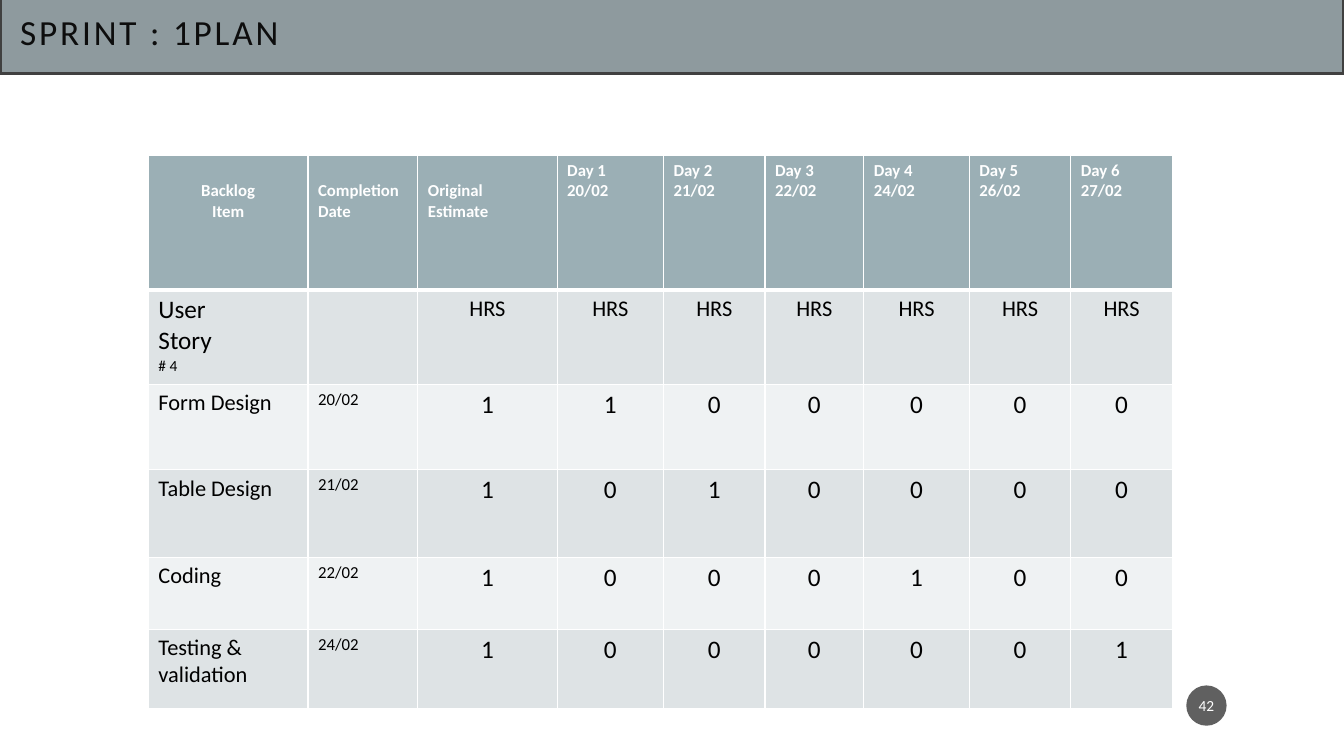
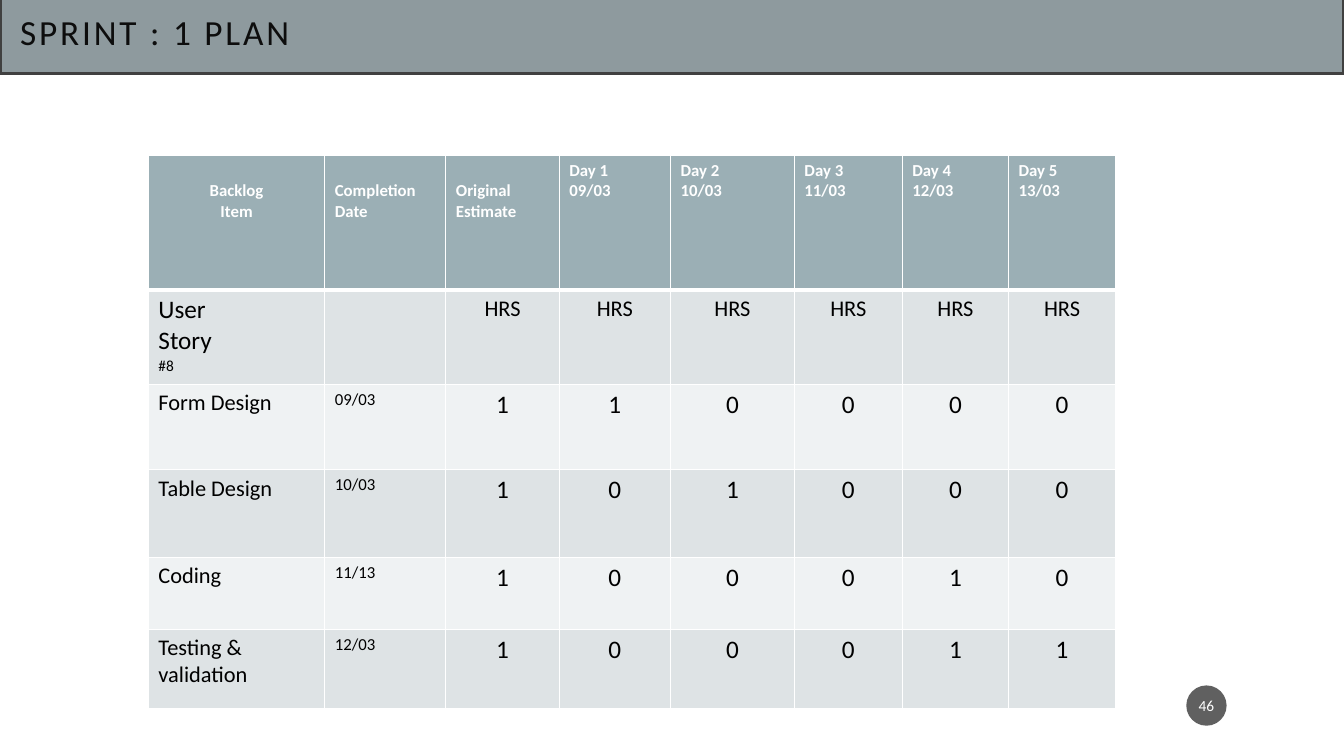
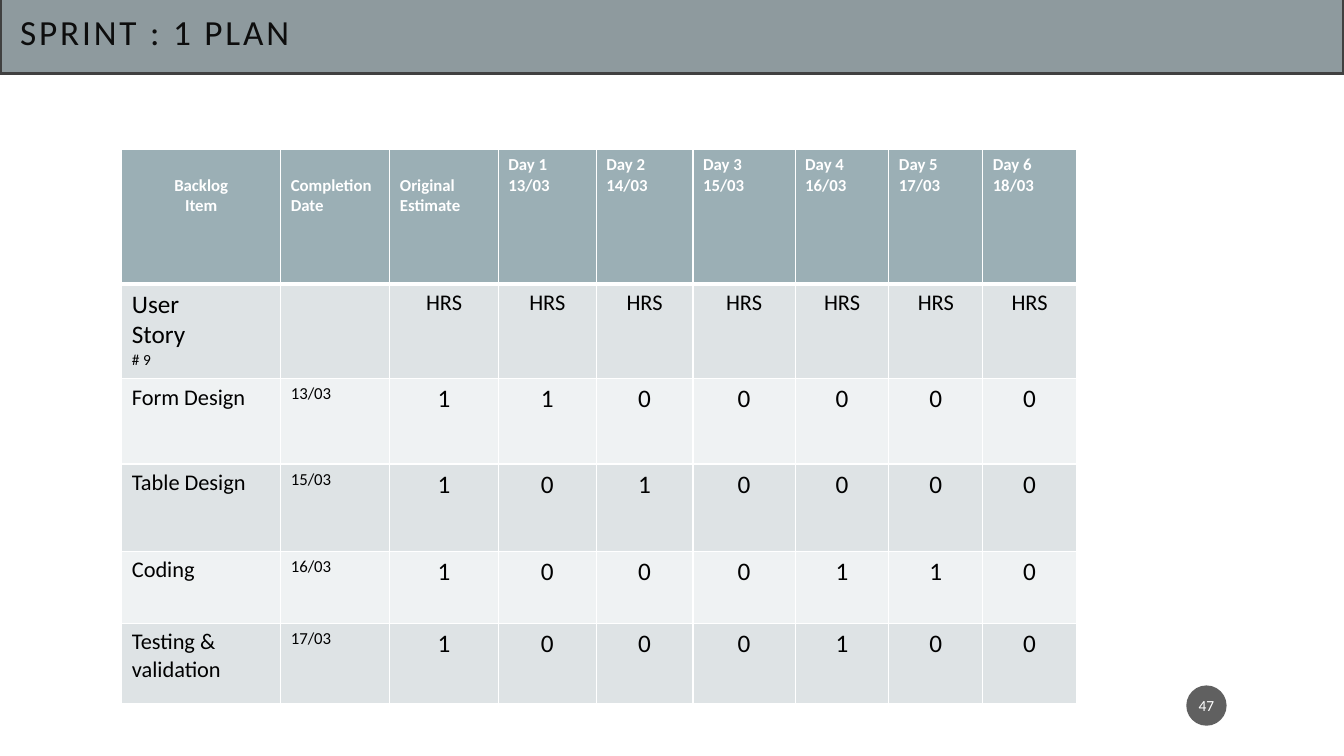
import dataclasses

import lxml.etree
import pptx
import pptx.dml.color
import pptx.enum.shapes
import pptx.enum.text
import pptx.oxml.ns
import pptx.util

Pt = pptx.util.Pt
qn = pptx.oxml.ns.qn
ALIGN = pptx.enum.text.PP_ALIGN
MIDDLE = pptx.enum.text.MSO_ANCHOR.MIDDLE


@dataclasses.dataclass(frozen=True)
class Theme:
    font: str = "Calibri"
    band: str = "8E9A9E"
    band_line: str = "404040"
    title: str = "0D0D0D"
    badge: str = "1D1D1D"
    header: str = "9BAFB5"
    stripes: tuple = ("DEE3E5", "EFF2F3")
    white: str = "FFFFFF"
    black: str = "000000"
    title_size: float = 25.2
    large: float = 18
    medium: float = 16
    small: float = 12
    tiny: float = 11


T = Theme()
ROW_HEIGHTS = (96, 67.5, 61, 62.5, 51.5, 57)
TASKS = ("Form Design", "Table Design", "Coding", "Testing & validation")
PLANS = (
    dict(
        title="SPRINT : 1PLAN", page="42", story="# 4", left=106, top=111,
        widths=(114, 78.5, 99.5, 76, 72.5, 70.5, 75.5, 72.5, 72.5),
        days=("20/02", "21/02", "22/02", "24/02", "26/02", "27/02"),
        done=("20/02", "21/02", "22/02", "24/02"),
        hours=("1100000", "1010000", "1000100", "1000001"),
    ),
    dict(
        title="SPRINT : 1 PLAN", page="46", story="#8", left=106, top=111,
        widths=(126, 86.5, 81, 79.5, 88.5, 77, 76, 76.5),
        days=("09/03", "10/03", "11/03", "12/03", "13/03"),
        done=("09/03", "10/03", "11/13", "12/03"),
        hours=("110000", "101000", "100010", "100011"),
    ),
    dict(
        title="SPRINT : 1 PLAN", page="47", story="# 9", left=87, top=107,
        widths=(113.5, 78, 77.5, 70, 69, 73, 67, 67, 67),
        days=("13/03", "14/03", "15/03", "16/03", "17/03", "18/03"),
        done=("13/03", "15/03", "16/03", "17/03"),
        hours=("1100000", "1010000", "1000110", "1000100"),
    ),
)


def rgb(color):
    return pptx.dml.color.RGBColor.from_string(color)


def write(tf, text, size, color=T.black, bold=False, align=ALIGN.LEFT,
          line_spacing=None, tracking=None, last_size=None):
    lines = text.split("\n")
    for i, line in enumerate(lines):
        p = tf.add_paragraph() if i else tf.paragraphs[0]
        p.alignment = align
        p.line_spacing = line_spacing
        r = p.add_run()
        r.text = line
        is_last = i == len(lines) - 1
        r.font.size = Pt(last_size if last_size and is_last else size)
        r.font.name = T.font
        r.font.bold = bold
        r.font.color.rgb = rgb(color)
        if tracking:
            r._r.get_or_add_rPr().set("spc", str(tracking * 100))


def set_frame(tf, side, vertical):
    tf.word_wrap = True
    tf.auto_size = pptx.enum.text.MSO_AUTO_SIZE.NONE
    tf.vertical_anchor = MIDDLE
    tf.margin_left = tf.margin_right = Pt(side)
    tf.margin_top = tf.margin_bottom = Pt(vertical)


def add_title(s, text):
    sp = s.shapes.title
    sp.left, sp.top, sp.width, sp.height = Pt(0), Pt(-3.6), Pt(960), Pt(56.2)
    sp.fill.solid()
    sp.fill.fore_color.rgb = rgb(T.band)
    sp.line.color.rgb = rgb(T.band_line)
    sp.line.width = Pt(2.5)
    set_frame(sp.text_frame, 14.4, 14.4)
    write(sp.text_frame, text, T.title_size, color=T.title,
          line_spacing=0.9, tracking=2)


def add_badge(s, number):
    sp = s.shapes.add_shape(pptx.enum.shapes.MSO_SHAPE.OVAL,
                            Pt(847.4), Pt(489.6), Pt(28.8), Pt(28.8))
    sp.shadow.inherit = False
    sp.fill.solid()
    sp.fill.fore_color.rgb = rgb(T.badge)
    color = sp._element.spPr.find(qn("a:solidFill"))[0]
    lxml.etree.SubElement(color, qn("a:alpha")).set("val", "70000")
    sp.line.fill.background()
    set_frame(sp.text_frame, 1.4, 3.6)
    write(sp.text_frame, number, T.tiny, color=T.white, align=ALIGN.CENTER)


def style_cell(cell, fill, top=1, bottom=1):
    tcPr = cell._tc.get_or_add_tcPr()
    for side, width in (("L", 1), ("R", 1), ("T", top), ("B", bottom)):
        ln = lxml.etree.SubElement(tcPr, qn(f"a:ln{side}"))
        ln.set("w", str(Pt(width)))
        solid = lxml.etree.SubElement(ln, qn("a:solidFill"))
        lxml.etree.SubElement(solid, qn("a:srgbClr")).set("val", T.white)
    cell.fill.solid()
    cell.fill.fore_color.rgb = rgb(fill)


def fill_header(table, days):
    labels = ["Backlog\nItem", "Completion Date", "Original\nEstimate"]
    labels += [f"Day {n}\n{day}" for n, day in enumerate(days, 1)]
    for col, label in enumerate(labels):
        cell = table.cell(0, col)
        style_cell(cell, T.header, bottom=3)
        if col < 3:
            cell.margin_top = Pt(18.2)
        write(cell.text_frame, label, T.small, color=T.white, bold=True,
              align=ALIGN.LEFT if col else ALIGN.CENTER)


def fill_row(table, row, name, date, values, name_size, value_size,
             last_size=None):
    for col, text in enumerate([name, date, *values]):
        cell = table.cell(row, col)
        style_cell(cell, T.stripes[(row - 1) % 2], top=3 if row == 1 else 1)
        if not text:
            continue
        if col == 0:
            write(cell.text_frame, text, name_size, last_size=last_size)
        elif col == 1:
            write(cell.text_frame, text, T.small)
        else:
            write(cell.text_frame, text, value_size, align=ALIGN.CENTER)


def add_plan_table(s, plan):
    widths = plan["widths"]
    table = s.shapes.add_table(
        len(ROW_HEIGHTS), len(widths), Pt(plan["left"]), Pt(plan["top"]),
        Pt(sum(widths)), Pt(sum(ROW_HEIGHTS))).table
    table.horz_banding = False
    for column, width in zip(table.columns, widths):
        column.width = Pt(width)
    for row, height in zip(table.rows, ROW_HEIGHTS):
        row.height = Pt(height)
    fill_header(table, plan["days"])
    fill_row(table, 1, f"User\nStory\n{plan['story']}", "",
             ["HRS"] * (len(widths) - 2), T.large, T.medium, last_size=T.tiny)
    tasks = zip(TASKS, plan["done"], plan["hours"])
    for row, (name, date, hours) in enumerate(tasks, 2):
        fill_row(table, row, name, date, hours, T.medium, T.large)


def main():
    prs = pptx.Presentation()
    prs.slide_width, prs.slide_height = Pt(960), Pt(540)
    title_only = prs.slide_layouts.get_by_name("Title Only")
    for plan in PLANS:
        s = prs.slides.add_slide(title_only)
        add_title(s, plan["title"])
        add_badge(s, plan["page"])
        add_plan_table(s, plan)
    prs.save("out.pptx")


if __name__ == "__main__":
    main()
